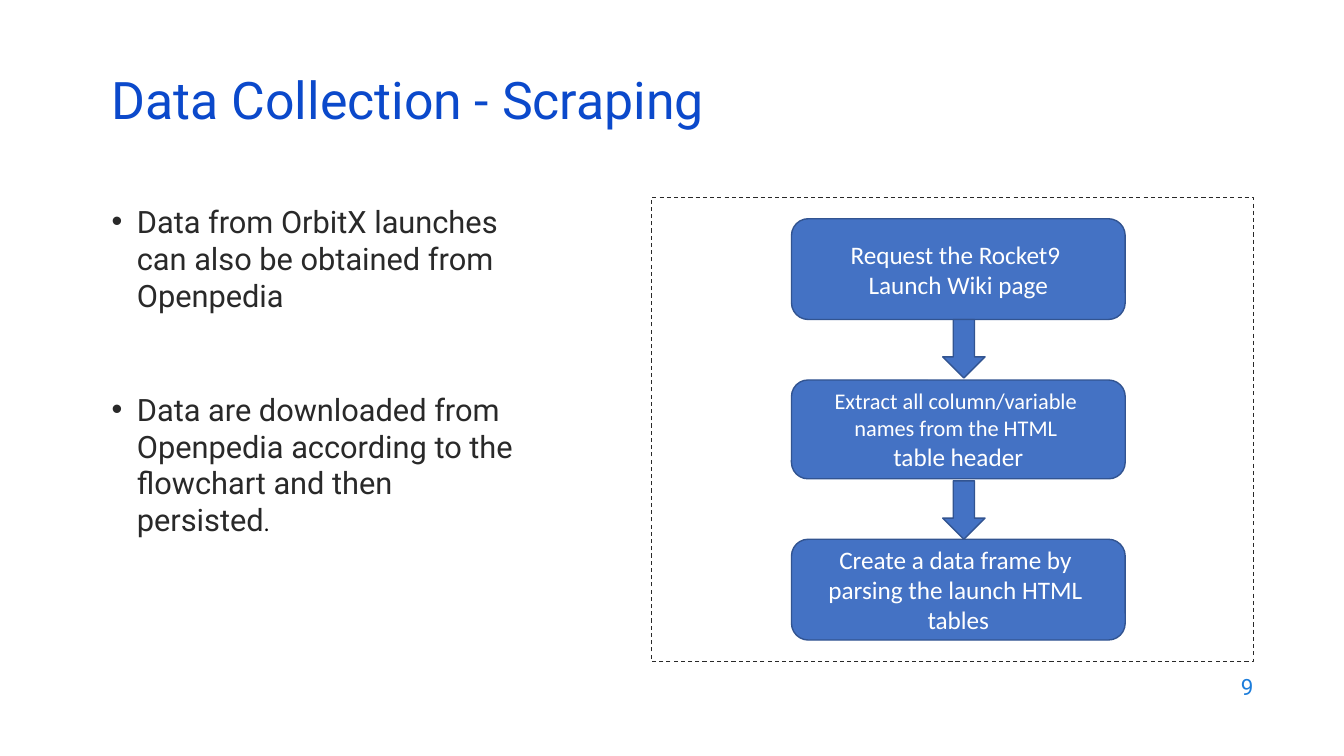
import pptx
import pptx.dml.color
import pptx.enum.dml
import pptx.enum.shapes
import pptx.enum.text
import pptx.oxml.ns
import pptx.util
from lxml import etree

Inches = pptx.util.Inches
Pt = pptx.util.Pt
SHAPES = pptx.enum.shapes.MSO_SHAPE
ALIGN = pptx.enum.text.PP_ALIGN
ANCHOR = pptx.enum.text.MSO_ANCHOR


def color(hex_value):
    return pptx.dml.color.RGBColor.from_string(hex_value)


def run_format(text, size=18, font="Calibri", fill="FFFFFF"):
    """Pair a text with the format of its run."""
    return text, size, font, fill


def add_bullet(paragraph, indent):
    properties = paragraph._p.get_or_add_pPr()
    properties.set("marL", str(Inches(indent)))
    properties.set("indent", str(-Inches(indent)))
    for tag, key, value in (("a:buFont", "typeface", "Arial"), ("a:buChar", "char", "•")):
        etree.SubElement(properties, pptx.oxml.ns.qn(tag)).set(key, value)


class SlideBuilder:
    TITLE_BLUE = "0B49CB"
    NUMBER_BLUE = "1C7DDB"
    BODY_DARK = "292929"
    BOX_FILL = "4472C4"
    BOX_LINE = "325491"
    FONT = "Roboto"

    def __init__(self, slide):
        self.slide = slide

    def fill_text(self, frame, paragraphs, align=ALIGN.LEFT, anchor=ANCHOR.TOP,
                  line_spacing=None, gap=0, bullet_indent=None):
        """Fill a text frame; each paragraph is a list of formatted runs."""
        frame.word_wrap = True
        frame.vertical_anchor = anchor
        for index, runs in enumerate(paragraphs):
            paragraph = frame.paragraphs[0] if index == 0 else frame.add_paragraph()
            paragraph.alignment = align
            if line_spacing:
                paragraph.line_spacing = line_spacing
            if index and gap:
                paragraph.space_before = Pt(gap)
            if bullet_indent:
                add_bullet(paragraph, bullet_indent)
            for text, size, font, fill in runs:
                run = paragraph.add_run()
                run.text = text
                run.font.size = Pt(size)
                run.font.name = font
                run.font.color.rgb = color(fill)

    def text(self, left, top, width, height, paragraphs, **text_format):
        box = self.slide.shapes.add_textbox(
            Inches(left), Inches(top), Inches(width), Inches(height))
        self.fill_text(box.text_frame, paragraphs, **text_format)

    def shape(self, kind, left, top, width, height, fill=BOX_FILL, line=BOX_LINE, weight=1):
        shape = self.slide.shapes.add_shape(
            kind, Inches(left), Inches(top), Inches(width), Inches(height))
        shape.shadow.inherit = False
        if fill:
            shape.fill.solid()
            shape.fill.fore_color.rgb = color(fill)
        else:
            shape.fill.background()
        shape.line.color.rgb = color(line)
        shape.line.width = Pt(weight)
        return shape

    def frame(self, left, top, width, height):
        shape = self.shape(SHAPES.RECTANGLE, left, top, width, height,
                           fill=None, line=self.BODY_DARK, weight=0.75)
        shape.line.dash_style = pptx.enum.dml.MSO_LINE.DASH

    def step(self, top, height, lines):
        shape = self.shape(SHAPES.ROUNDED_RECTANGLE, 7.85, top, 3.31, height)
        self.fill_text(shape.text_frame, [[line] for line in lines],
                       align=ALIGN.CENTER, anchor=ANCHOR.MIDDLE)

    def arrow(self, top):
        self.shape(SHAPES.DOWN_ARROW, 9.35, top, 0.42, 0.58)


def main():
    presentation = pptx.Presentation()
    presentation.slide_width = Inches(13.33)
    presentation.slide_height = Inches(7.5)
    builder = SlideBuilder(presentation.slides.add_slide(presentation.slide_layouts[6]))
    font = builder.FONT

    # Title and page number
    builder.text(1.01, 0.76, 11.5, 0.6,
                 [[run_format("Data Collection - Scraping", 37, font, builder.TITLE_BLUE)]],
                 anchor=ANCHOR.MIDDLE, line_spacing=0.7)
    builder.text(9.53, 6.59, 3, 0.44, [[run_format("9", 16, font, builder.NUMBER_BLUE)]],
                 align=ALIGN.RIGHT, anchor=ANCHOR.MIDDLE)

    # Bullets on the left
    body = {"size": 22, "font": font, "fill": builder.BODY_DARK}
    builder.text(1.01, 1.96, 4.3, 4.17, [
        [run_format("Data from OrbitX launches can also be obtained from Openpedia", **body)],
        [run_format("Data are downloaded from Openpedia according to the "
                    "flowchart and then persisted", **body),
         run_format(".", size=16, fill="000000")],
    ], gap=55, bullet_indent=0.25)

    # Flowchart on the right
    builder.frame(6.46, 1.96, 5.97, 4.6)
    steps = [
        (2.17, 1, [run_format("Request the Rocket9 "), run_format("Launch Wiki page")]),
        (3.77, 0.98, [run_format("Extract all column/variable ", size=16),
                      run_format("names from the HTML ", size=16),
                      run_format("table header")]),
        (5.35, 1, [run_format("Create a data frame by "),
                   run_format("parsing the launch HTML "),
                   run_format("tables")]),
    ]
    for top, height, lines in steps:
        builder.step(top, height, lines)
    for top in (3.17, 4.77):
        builder.arrow(top)

    presentation.save("out.pptx")


if __name__ == "__main__":
    main()
